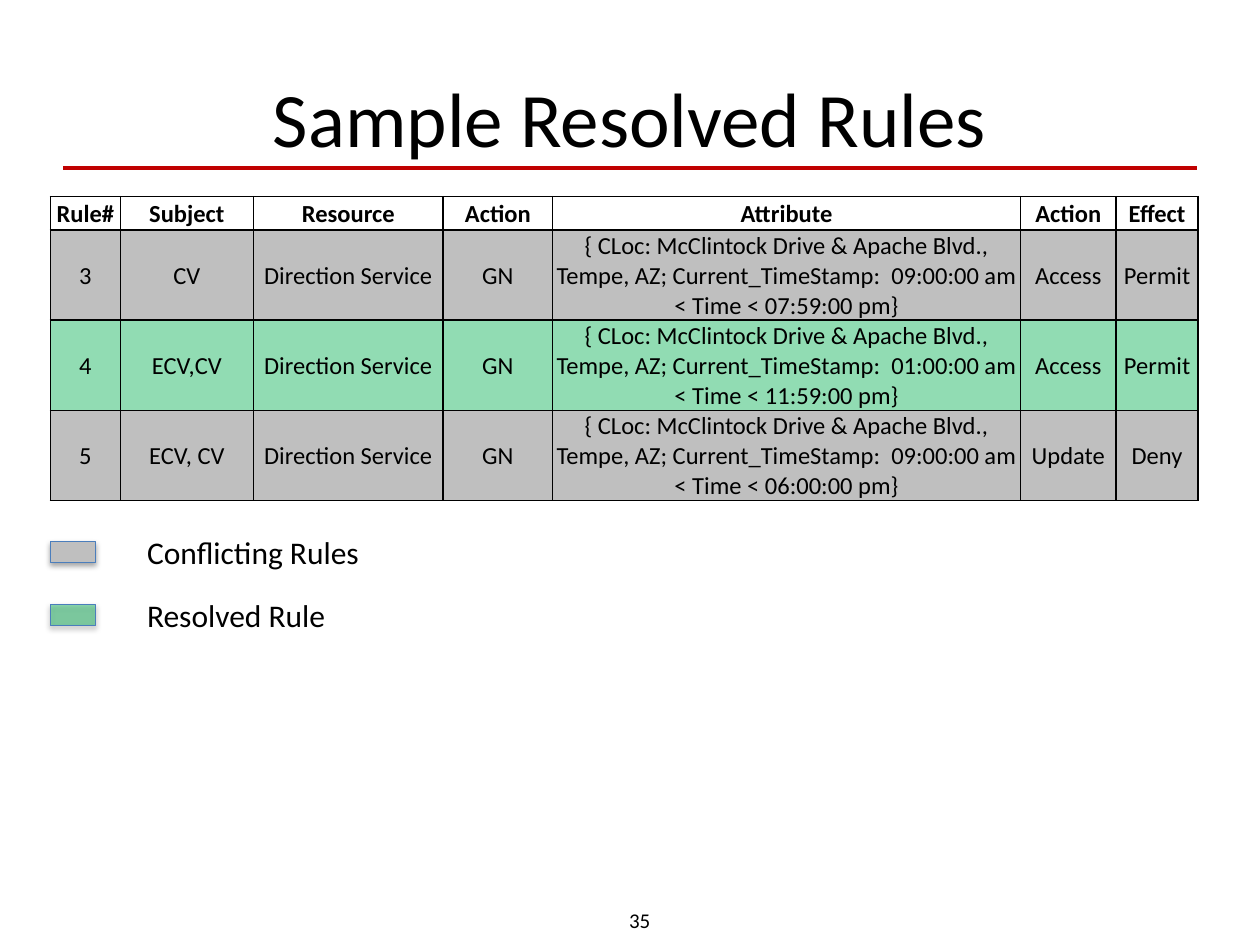
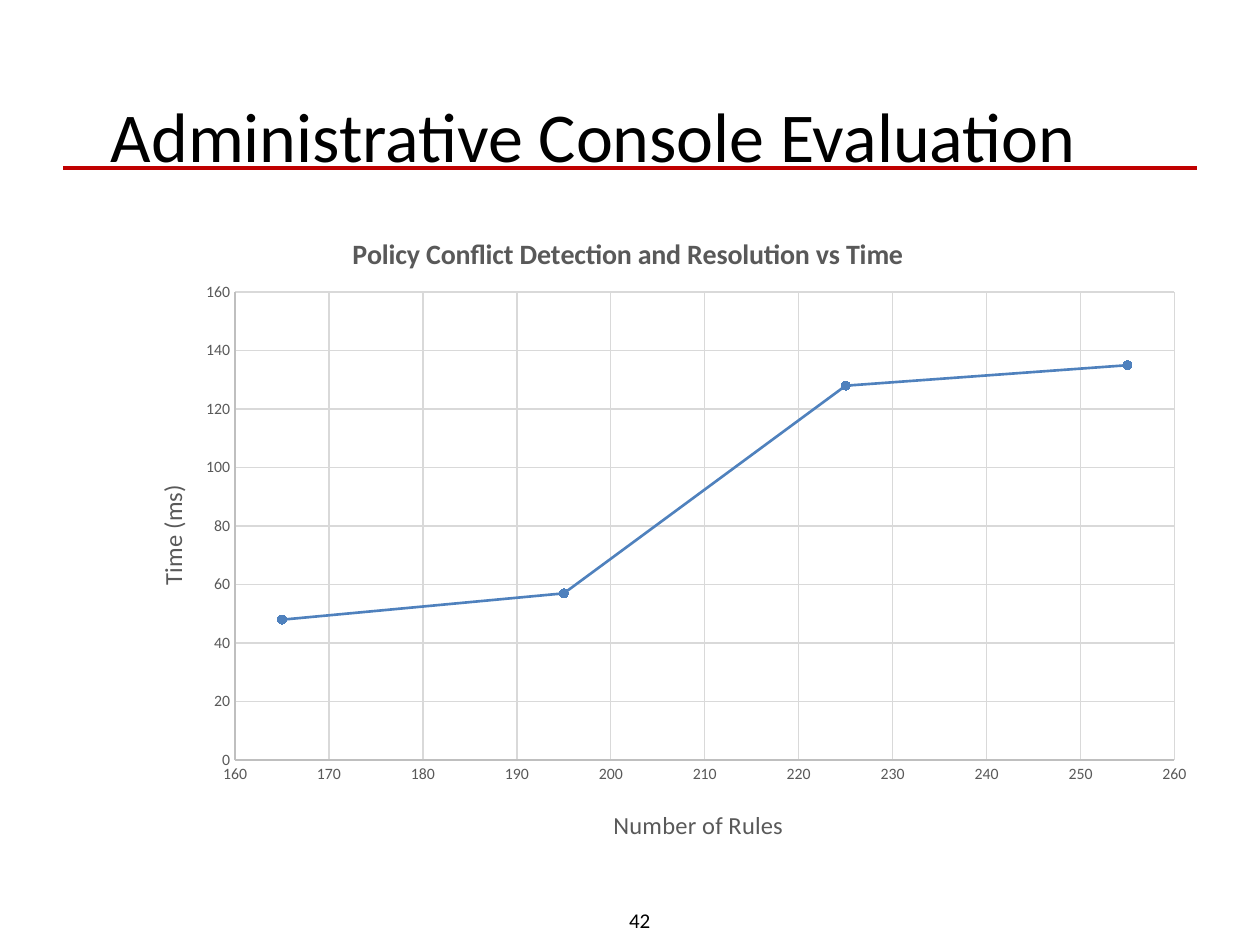
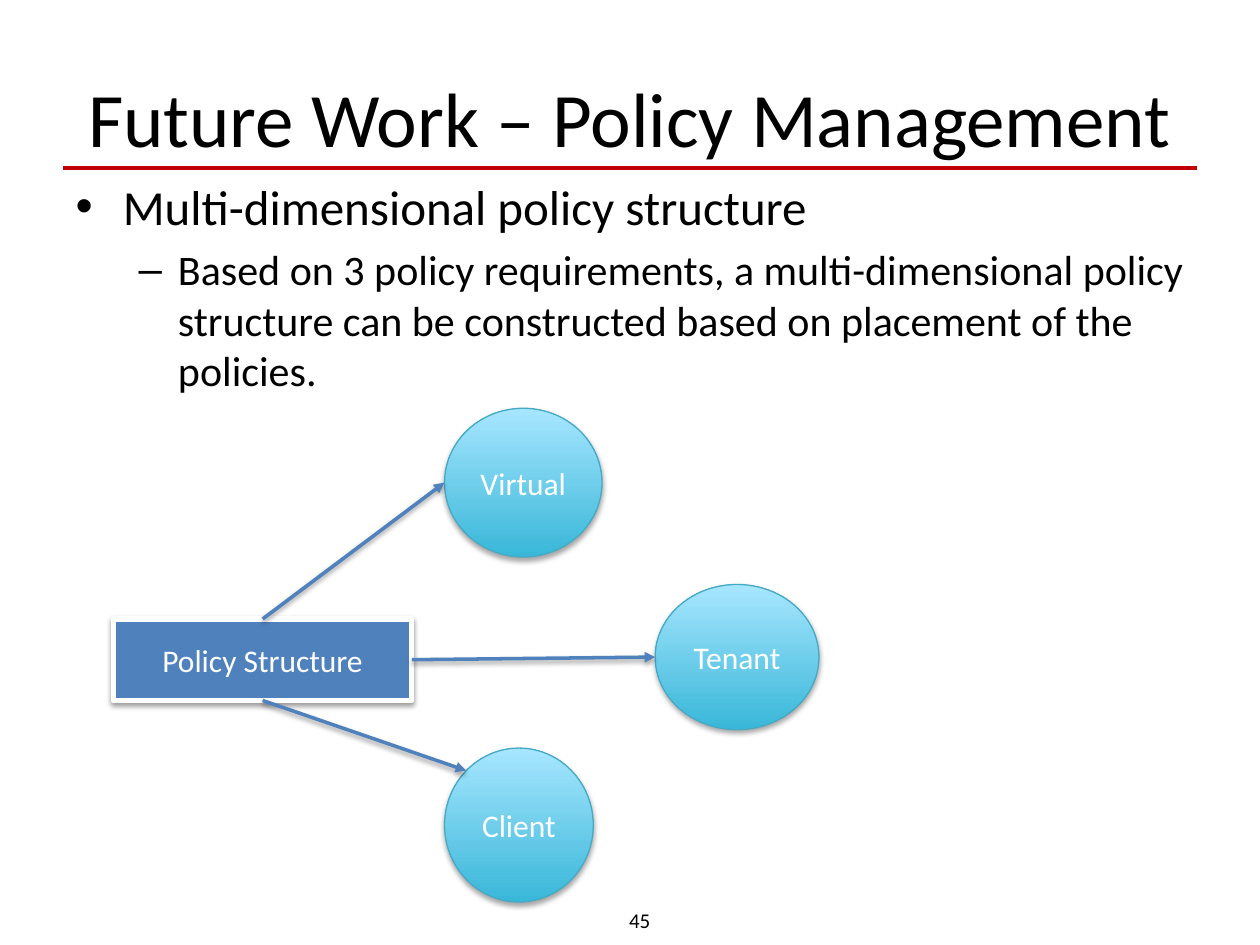
from dataclasses import dataclass
from math import sqrt
from typing import NamedTuple

from lxml.etree import SubElement
from pptx import Presentation
from pptx.chart.data import XyChartData
from pptx.dml.color import RGBColor as RGB
from pptx.enum.chart import XL_CHART_TYPE as ChartType, XL_MARKER_STYLE as Marker, XL_TICK_MARK as Tick
from pptx.enum.shapes import MSO_CONNECTOR as Connector, MSO_SHAPE as Preset
from pptx.enum.text import MSO_ANCHOR as Anchor, MSO_AUTO_SIZE as AutoSize, PP_ALIGN as Align
from pptx.oxml.ns import qn
from pptx.util import Pt


@dataclass(frozen=True)
class Theme:
    font: str = "Calibri"
    black: RGB = RGB.from_string("000000")
    white: RGB = RGB.from_string("FFFFFF")
    red: RGB = RGB.from_string("C00000")
    blue: RGB = RGB.from_string("4F81BD")
    swatch_edge: RGB = RGB.from_string("4B7EBC")
    conflict: RGB = RGB.from_string("BFBFBF")
    resolved: RGB = RGB.from_string("00B050")
    grid: RGB = RGB.from_string("D9D9D9")
    chart_text: RGB = RGB.from_string("595959")
    circle_bottom: RGB = RGB.from_string("39B7D8")
    circle_top: RGB = RGB.from_string("A7E6FF")
    circle_edge: RGB = RGB.from_string("46AAC5")
    title: float = 44
    small_title: float = 40
    body: float = 28
    sub_body: float = 24
    label: float = 18
    chart_title: float = 16
    cell: float = 14
    page: float = 12
    tick: float = 9


class Box(NamedTuple):
    """Position and size in points."""
    x: float
    y: float
    w: float
    h: float

    def lengths(self) -> list:
        return [Pt(v) for v in self]


class LegendItem(NamedTuple):
    text: str
    color: RGB
    opacity: int


class Circle(NamedTuple):
    text: str
    box: Box
    site: int               # side of the rectangle its arrow leaves from
    diagonal: bool = False  # arrow arrives at the upper left, not the left


T = Theme()
TITLE_BOX = Box(36, 21.6, 648, 90)
PAGE_BOX = Box(281.5, 511, 168, 29)


# ---- shared helpers ----
def style_font(font, size: float, color: RGB = T.black, bold: bool = False) -> None:
    font.name, font.size, font.bold = T.font, Pt(size), bold
    font.color.rgb = color


def set_text(tf, text: str, size: float, color: RGB = T.black,
             align: Align = Align.CENTER, bold: bool = False) -> None:
    tf.text = text
    p = tf.paragraphs[0]
    p.alignment = align
    style_font(p.runs[0].font, size, color, bold)


def place(sp, box: Box) -> None:
    sp.left, sp.top, sp.width, sp.height = box.lengths()


def set_opacity(fill_parent, percent: int) -> None:
    clr = fill_parent.find(qn("a:solidFill"))[0]
    SubElement(clr, qn("a:alpha"), val=str(percent * 1000))


def add_shadow(sp, opacity: int = 35, distance: float = 1.8) -> None:
    effects = SubElement(sp.element.spPr, qn("a:effectLst"))
    shadow = SubElement(effects, qn("a:outerShdw"), blurRad=str(Pt(3.1)),
                        dist=str(Pt(distance)), dir="5400000", rotWithShape="0")
    clr = SubElement(shadow, qn("a:srgbClr"), val=str(T.black))
    SubElement(clr, qn("a:alpha"), val=str(opacity * 1000))


def add_shape(slide, preset: Preset, box: Box, edge: RGB, width: float, text: str = ""):
    sp = slide.shapes.add_shape(preset, *box.lengths())
    sp.line.color.rgb, sp.line.width = edge, Pt(width)
    if text:
        sp.text_frame.vertical_anchor = Anchor.MIDDLE
        set_text(sp.text_frame, text, T.label, T.white)
    return sp


def add_line(slide, x1: float, y1: float, x2: float, y2: float, color: RGB, width: float):
    line = slide.shapes.add_connector(Connector.STRAIGHT, Pt(x1), Pt(y1), Pt(x2), Pt(y2))
    line.line.color.rgb, line.line.width = color, Pt(width)
    return line


def add_label(slide, box: Box, text: str, size: float, align: Align, anchor: Anchor) -> None:
    tf = slide.shapes.add_textbox(*box.lengths()).text_frame
    tf.word_wrap, tf.vertical_anchor = True, anchor
    set_text(tf, text, size, align=align)


def add_slide(prs, layout: int, title: str, page: int,
              box: Box = TITLE_BOX, size: float = T.title):
    slide = prs.slides.add_slide(prs.slide_layouts[layout])
    sp = slide.shapes.title
    place(sp, box)
    sp.text_frame.auto_size = AutoSize.NONE
    sp.text_frame.vertical_anchor = Anchor.MIDDLE
    set_text(sp.text_frame, title, size)
    add_label(slide, PAGE_BOX, str(page), T.page, Align.CENTER, Anchor.MIDDLE)
    return slide


def add_master_rule(prs, slide) -> None:
    """Draw the red rule under the title and move it to the master."""
    rule = add_line(slide, 36, 96, 684, 96, T.red, 2.25)
    SubElement(rule.element.spPr, qn("a:effectLst"))
    rule.element.nvCxnSpPr.cNvPr.set("id", "20")
    prs.slide_master.shapes.element.insert(2, rule.element)


# ---- slide: resolved rules ----
HEADERS = ["Rule#", "Subject", "Resource", "Action", "Attribute", "Action", "Effect"]
COL_WIDTHS = [40, 76, 108.5, 62.5, 267.5, 54.5, 47]
HEADER_HEIGHT, ROW_HEIGHT = 19.2, 51.5


def rule_row(number: str, subject: str, start: str, end: str, action: str, effect: str) -> list[str]:
    attribute = ("{ CLoc: McClintock Drive & Apache Blvd., Tempe, AZ; "
                 f"Current_TimeStamp:  {start} am < Time < {end} pm}}")
    return [number, subject, "Direction Service", "GN", attribute, action, effect]


RULES = [
    rule_row("3", "CV", "09:00:00", "07:59:00", "Access", "Permit"),
    rule_row("4", "ECV,CV", "01:00:00", "11:59:00", "Access", "Permit"),
    rule_row("5", "ECV, CV", "09:00:00", "06:00:00", "Update", "Deny"),
]
CONFLICTING = LegendItem("Conflicting Rules", T.conflict, 100)
RESOLVED = LegendItem("Resolved Rule", T.resolved, 43)
ROW_KINDS = [None, CONFLICTING, RESOLVED, CONFLICTING]


def format_cell(cell, text: str, kind: LegendItem | None) -> None:
    cell.margin_left = cell.margin_right = cell.margin_top = Pt(0.7)
    cell.margin_bottom = 0
    cell.vertical_anchor = Anchor.MIDDLE
    set_text(cell.text_frame, text, T.cell, bold=kind is None)
    props = cell._tc.get_or_add_tcPr()
    for side in ("a:lnL", "a:lnR", "a:lnT", "a:lnB"):
        border = SubElement(props, qn(side), w=str(Pt(1)))
        SubElement(SubElement(border, qn("a:solidFill")), qn("a:srgbClr"), val=str(T.black))
    if kind is None:
        cell.fill.background()
    else:
        cell.fill.solid()
        cell.fill.fore_color.rgb = kind.color
        set_opacity(props, kind.opacity)


def build_rules(prs):
    slide = add_slide(prs, 5, "Sample Resolved Rules", 35)
    rows = [HEADERS, *RULES]
    box = Box(28.8, 112.3, sum(COL_WIDTHS), HEADER_HEIGHT + ROW_HEIGHT * len(RULES))
    table = slide.shapes.add_table(len(rows), len(HEADERS), *box.lengths()).table
    table.first_row = table.horz_banding = False
    for col, width in zip(table.columns, COL_WIDTHS):
        col.width = Pt(width)
    for i, (row, kind) in enumerate(zip(rows, ROW_KINDS)):
        table.rows[i].height = Pt(ROW_HEIGHT if i else HEADER_HEIGHT)
        for j, text in enumerate(row):
            format_cell(table.cell(i, j), text, kind)

    for i, item in enumerate([CONFLICTING, RESOLVED]):
        y = 309.6 + 36 * i
        swatch = add_shape(slide, Preset.RECTANGLE, Box(28.8, y, 26, 11.8), T.swatch_edge, 0.75)
        swatch.fill.solid()
        swatch.fill.fore_color.rgb = item.color
        set_opacity(swatch.element.spPr, item.opacity)
        add_shadow(swatch)
        add_label(slide, Box(77, y - 8.6, 164, 29), item.text, T.label, Align.LEFT, Anchor.TOP)
    return slide


# ---- slide: console evaluation ----
TIMES = {165: 48, 195: 57, 225: 128, 255: 135}


def set_layout(parent, index: int, **fractions: float) -> None:
    """Place a chart part by fractions of the chart's size."""
    old = parent.find(qn("c:layout"))
    if old is not None:
        parent.remove(old)
    layout = parent.makeelement(qn("c:layout"))
    parent.insert(index, layout)
    manual = SubElement(layout, qn("c:manualLayout"))
    if "w" in fractions:
        SubElement(manual, qn("c:layoutTarget"), val="inner")
    for mode in ("c:xMode", "c:yMode"):
        SubElement(manual, qn(mode), val="edge")
    for name, value in fractions.items():
        SubElement(manual, qn(f"c:{name}"), val=str(value))


def format_axis(axis, title: str, low: int, high: int, step: int, x: float, y: float) -> None:
    axis.minimum_scale, axis.maximum_scale, axis.major_unit = low, high, step
    axis.major_tick_mark = axis.minor_tick_mark = Tick.NONE
    style_font(axis.tick_labels.font, T.tick, T.chart_text)
    axis.has_major_gridlines = True
    for part, color in ((axis, T.conflict), (axis.major_gridlines, T.grid)):
        part.format.line.color.rgb, part.format.line.width = color, Pt(0.75)
    set_text(axis.axis_title.text_frame, title, T.cell, T.chart_text)
    set_layout(axis.axis_title.element, 1, x=x, y=y)


def build_evaluation(prs) -> None:
    slide = add_slide(prs, 5, "Administrative Console Evaluation", 42,
                      Box(15, 48.2, 648, 57), T.small_title)
    data = XyChartData()
    series = data.add_series("Time (ms)")
    for rules, ms in TIMES.items():
        series.add_data_point(rules, ms)
    box = Box(67.7, 116, 622.8, 377.3)
    chart = slide.shapes.add_chart(ChartType.XY_SCATTER_LINES, *box.lengths(), data).chart
    style_font(chart.font, 10)
    chart.has_legend = False
    chart.has_title = True
    set_text(chart.chart_title.text_frame, "Policy Conflict Detection and Resolution vs Time",
             T.chart_title, T.chart_text, bold=True)
    set_layout(chart.chart_title.element, 1, x=0.21, y=0.04)
    set_layout(chart.element.find(".//" + qn("c:plotArea")), 0, x=0.107, y=0.135, w=0.862, h=0.709)

    format_axis(chart.category_axis, "Number of Rules", 160, 260, 10, 0.45, 0.91)
    format_axis(chart.value_axis, "Time (ms)", 0, 160, 20, 0.03, 0.42)
    body = chart.value_axis.axis_title.element.find(".//" + qn("a:bodyPr"))
    body.set("rot", "-5400000")
    body.set("vert", "horz")

    plot = chart.plots[0]
    plot.vary_by_categories = False
    line = plot.series[0]
    line.smooth = False
    line.format.line.color.rgb, line.format.line.width = T.blue, Pt(1.5)
    line.marker.style, line.marker.size = Marker.CIRCLE, 5
    line.marker.format.fill.solid()
    line.marker.format.fill.fore_color.rgb = T.blue
    line.marker.format.line.color.rgb = T.blue


# ---- slide: future work ----
BULLETS = [
    ("Multi-dimensional policy structure", T.body),
    ("Based on 3 policy requirements, a multi-dimensional policy structure can be "
     "constructed based on placement of the policies.", T.sub_body),
]
CIRCLES = [
    Circle("Virtual", Box(254, 233.3, 90, 85), 0),
    Circle("Tenant", Box(374.4, 334, 93.6, 83), 3),
    Circle("Client", Box(254, 427.5, 85, 88), 2, diagonal=True),
]


def add_circle(slide, circle: Circle) -> None:
    sp = add_shape(slide, Preset.OVAL, circle.box, T.circle_edge, 0.75, circle.text)
    sp.fill.gradient()
    sp.fill.gradient_angle = 90
    for stop, color in zip(sp.fill.gradient_stops, (T.circle_bottom, T.circle_top)):
        stop.color.rgb = color
    add_shadow(sp)


def add_arrow(slide, source, circle: Circle) -> None:
    x, y, w, h = circle.box
    inset = (1 - 1 / sqrt(2)) / 2
    end = (x + w * inset, y + h * inset) if circle.diagonal else (x, y + h / 2)
    arrow = add_line(slide, 0, 0, *end, T.blue, 2)
    arrow.begin_connect(source, circle.site)
    SubElement(arrow.element.spPr.find(qn("a:ln")), qn("a:tailEnd"), type="triangle")
    add_shadow(arrow, 38, 1.6)


def build_future_work(prs) -> None:
    slide = add_slide(prs, 1, "Future Work – Policy Management", 45)
    body = slide.placeholders[1]
    place(body, Box(36, 97.2, 648, 127.5))
    tf = body.text_frame
    tf.auto_size = AutoSize.NONE
    for level, (text, size) in enumerate(BULLETS):
        p = tf.add_paragraph() if level else tf.paragraphs[0]
        p.text, p.level = text, level
        style_font(p.runs[0].font, size)
    tf.paragraphs[0].space_before = Pt(0)

    policy = add_shape(slide, Preset.RECTANGLE, Box(64.8, 353.7, 170.6, 46.6),
                       T.white, 3, "Policy Structure")
    policy.fill.solid()
    policy.fill.fore_color.rgb = T.blue
    add_shadow(policy, 38, 1.6)
    for circle in CIRCLES:
        add_circle(slide, circle)
    for circle in CIRCLES:
        add_arrow(slide, policy, circle)


def main() -> None:
    prs = Presentation()
    prs.slide_width, prs.slide_height = Pt(720), Pt(540)
    add_master_rule(prs, build_rules(prs))
    build_evaluation(prs)
    build_future_work(prs)
    prs.save("out.pptx")


if __name__ == "__main__":
    main()
